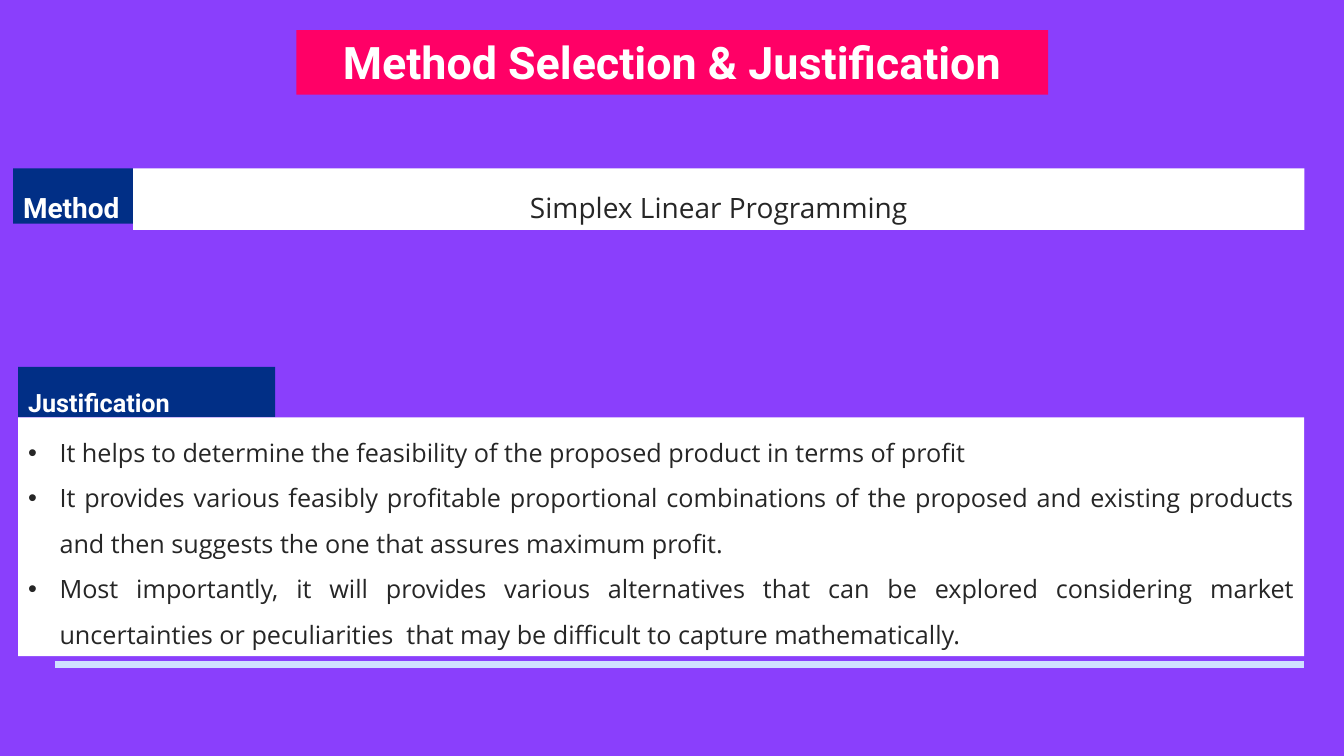
"""Build the slide on method selection and its justification."""
from dataclasses import dataclass

from lxml.etree import SubElement
from pptx import Presentation
from pptx.dml.color import RGBColor as Rgb
from pptx.enum.shapes import MSO_CONNECTOR as Link, MSO_SHAPE as Kind
from pptx.enum.text import MSO_ANCHOR as Anchor, MSO_AUTO_SIZE as Fit, PP_ALIGN as Align
from pptx.oxml.ns import qn
from pptx.slide import Slide
from pptx.text.text import TextFrame
from pptx.util import Pt


@dataclass(frozen=True)
class Theme:
    """Colours, fonts and type sizes."""
    back: str = "8A3FFC"
    pink: str = "FF0066"
    navy: str = "012F86"
    white: str = "FFFFFF"
    ink: str = "262626"
    rule: str = "CFE0FF"
    head: str = "Roboto"
    body: str = "Open Sans"
    large: int = 32
    mid: int = 20
    small: int = 18


@dataclass(frozen=True)
class Panel:
    """A filled box with its text and format."""
    left: float
    top: float
    width: float
    height: float
    fill: str
    lines: tuple[str, ...]
    size: int
    label: bool = True
    align: Align = Align.LEFT
    space: float = 1.5
    bullet: bool = False


LOOK = Theme()
EDGE = 12.96
RIGHT = 931.68
SPLIT = 95.04
ROW = 120.24
TAB = 262.08
BASE = 298.08
INDENT = 22.5

REASONS = (
    "It helps to determine the feasibility of the proposed product in terms of profit",
    "It provides various feasibly profitable proportional combinations of the proposed "
    "and existing products and then suggests the one that assures maximum profit.",
    "Most importantly, it will provides various alternatives that can be explored considering "
    "market uncertainties or peculiarities  that may be difficult to capture mathematically.",
)

PANELS = (
    Panel(211.68, 21.6, 537.12, 46.08, LOOK.pink, ("Method Selection & Justification",),
          LOOK.large, align=Align.CENTER, space=1),
    Panel(9.36, ROW, SPLIT - 9.36, 39.6, LOOK.navy, ("Method",), LOOK.mid),
    Panel(EDGE, TAB, 183.6, BASE - TAB, LOOK.navy, ("Justification",), LOOK.small),
    Panel(SPLIT, ROW, RIGHT - SPLIT, 43.92, LOOK.white, ("Simplex Linear Programming",),
          LOOK.mid, label=False, align=Align.CENTER),
    Panel(EDGE, BASE, RIGHT - EDGE, 170.64, LOOK.white, REASONS,
          LOOK.small, label=False, align=Align.JUSTIFY, bullet=True),
)


def write(frame: TextFrame, lines: tuple[str, ...], *, font: str, size: int, tint: str,
          bold: bool, align: Align, space: float, bullet: bool) -> None:
    """Write one paragraph per line in the given format."""
    for rank, line in enumerate(lines):
        para = frame.add_paragraph() if rank else frame.paragraphs[0]
        para.alignment = align
        para.line_spacing = space
        if bullet:
            props = para._p.get_or_add_pPr()
            props.set("marL", str(Pt(INDENT)))
            props.set("indent", str(-Pt(INDENT)))
            SubElement(props, qn("a:buFont"), typeface="Arial")
            SubElement(props, qn("a:buChar"), char="•")
        run = para.add_run()
        run.text = line
        run.font.name = font
        run.font.size = Pt(size)
        run.font.bold = bold
        run.font.color.rgb = Rgb.from_string(tint)


def draw(slide: Slide, panel: Panel) -> None:
    """Draw one panel and its text."""
    box = slide.shapes.add_shape(Kind.RECTANGLE, Pt(panel.left), Pt(panel.top),
                                 Pt(panel.width), Pt(panel.height))
    box.shadow.inherit = False
    box.fill.solid()
    box.fill.fore_color.rgb = Rgb.from_string(panel.fill)
    box.line.fill.background()
    frame = box.text_frame
    frame.word_wrap = True
    frame.auto_size = Fit.SHAPE_TO_FIT_TEXT
    frame.vertical_anchor = Anchor.TOP
    write(frame, panel.lines, size=panel.size, bold=panel.label,
          font=LOOK.head if panel.label else LOOK.body,
          tint=LOOK.white if panel.label else LOOK.ink,
          align=panel.align, space=panel.space, bullet=panel.bullet)


def rule(slide: Slide, left: float, right: float, top: float) -> None:
    """Draw the pale rule below the reasons."""
    line = slide.shapes.add_connector(Link.STRAIGHT, Pt(left), Pt(top), Pt(right), Pt(top))
    line.line.color.rgb = Rgb.from_string(LOOK.rule)
    line.line.width = Pt(5)
    SubElement(line._element.spPr, qn("a:effectLst"))


def main() -> None:
    """Build and save the deck."""
    deck = Presentation()
    deck.slide_width, deck.slide_height = Pt(960), Pt(540)
    slide = deck.slides.add_slide(deck.slide_layouts[6])
    fill = slide.background.fill
    fill.solid()
    fill.fore_color.rgb = Rgb.from_string(LOOK.back)
    rule(slide, 39.6, RIGHT, 474.48)
    for panel in PANELS:
        draw(slide, panel)
    deck.save("out.pptx")


if __name__ == "__main__":
    main()
